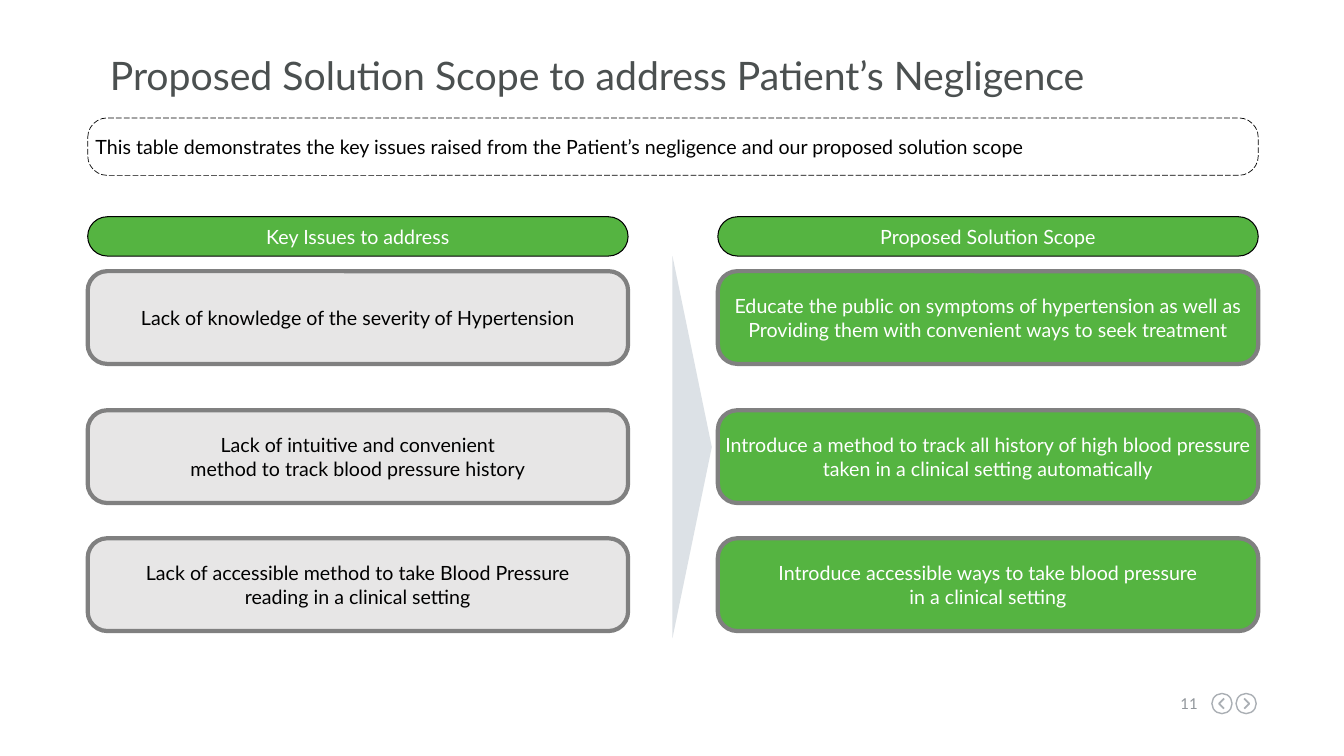
from dataclasses import dataclass

from pptx import Presentation
from pptx.dml.color import RGBColor
from pptx.enum.dml import MSO_LINE
from pptx.enum.shapes import MSO_SHAPE
from pptx.enum.text import MSO_ANCHOR, MSO_AUTO_SIZE, PP_ALIGN
from pptx.util import Inches, Pt

ROUNDED, TRIANGLE, OVAL = (
    MSO_SHAPE.ROUNDED_RECTANGLE, MSO_SHAPE.ISOSCELES_TRIANGLE, MSO_SHAPE.OVAL)
LEFT, CENTER, RIGHT = PP_ALIGN.LEFT, PP_ALIGN.CENTER, PP_ALIGN.RIGHT
MIDDLE, BOTTOM = MSO_ANCHOR.MIDDLE, MSO_ANCHOR.BOTTOM
DASHED = MSO_LINE.LONG_DASH


@dataclass(frozen=True)
class Theme:
    font: str = "Lato"
    title_size: float = 28
    body_size: float = 14
    number_size: float = 10.7
    title: str = "4B5050"
    number: str = "91969B"
    icon: str = "AAAFB4"
    black: str = "000000"
    white: str = "FFFFFF"
    green: str = "55B441"
    grey: str = "E7E6E6"
    border: str = "808080"
    arrow: str = "DCE1E6"


@dataclass(frozen=True)
class Grid:
    """Two columns over a header row and three card rows, in inches."""
    left: float = 0.87
    col_w: float = 5.36
    gutter: float = 0.89
    header_y: float = 2.15
    header_h: float = 0.39
    card_ys: tuple[float, ...] = (2.69, 4.07, 5.34)
    card_h: float = 0.92

    def x(self, col: int) -> float:
        return self.left + col * (self.col_w + self.gutter)

    @property
    def width(self) -> float:
        return self.x(1) + self.col_w - self.left


@dataclass(frozen=True)
class Box:
    x: float
    y: float
    w: float
    h: float


@dataclass(frozen=True)
class Style:
    fill: str
    line: str
    line_w: float
    color: str
    radius: float
    align: PP_ALIGN = CENTER


@dataclass(frozen=True)
class Card:
    lines: tuple[str, ...]
    inset: float = 0


@dataclass(frozen=True)
class Column:
    header: str
    style: Style
    cards: tuple[Card, ...]


THEME, GRID = Theme(), Grid()
HEADER = Style(THEME.green, THEME.black, 0.75, THEME.white, 0.5)
INTRO = Style(THEME.white, THEME.black, 0.5, THEME.black, 0.34, LEFT)
ISSUE = Style(THEME.grey, THEME.border, 3, THEME.black, 0.21)
SOLUTION = Style(THEME.green, THEME.border, 3, THEME.white, 0.21)

COLUMNS = (
    Column("Key Issues to address", ISSUE, (
        Card(("Lack of knowledge of the severity of Hypertension",)),
        Card(("Lack of intuitive and convenient method to track "
              "blood pressure history",), 0.91),
        Card(("Lack of accessible method to take Blood Pressure "
              "reading in a clinical setting",), 0.52),
    )),
    Column("Proposed Solution Scope", SOLUTION, (
        Card(("Educate the public on symptoms of hypertension as well as",
              "Providing them with convenient ways to seek treatment")),
        Card(("Introduce a method to track all history of high blood pressure "
              "taken in a clinical setting automatically",)),
        Card(("Introduce accessible ways to take blood pressure",
              "in a clinical setting")),
    )),
)


def emu(box: Box) -> tuple[int, ...]:
    return tuple(Inches(v) for v in (box.x, box.y, box.w, box.h))


def paint(sp, fill: str | None, line: str | None = None, width: float = 0) -> None:
    sp.shadow.inherit = False
    if fill:
        sp.fill.solid()
        sp.fill.fore_color.rgb = RGBColor.from_string(fill)
    else:
        sp.fill.background()
    if line:
        sp.line.color.rgb = RGBColor.from_string(line)
        sp.line.width = Pt(width)
    else:
        sp.line.fill.background()


def write(sp, lines: tuple[str, ...], size: float, color: str,
          align: PP_ALIGN, anchor: MSO_ANCHOR = MIDDLE, inset: float = 0) -> None:
    tf = sp.text_frame
    frame = {"word_wrap": True, "auto_size": MSO_AUTO_SIZE.NONE,
             "vertical_anchor": anchor, "margin_top": 0, "margin_bottom": 0,
             "margin_left": Inches(inset), "margin_right": Inches(inset)}
    for name, value in frame.items():
        setattr(tf, name, value)
    tf.text = "\n".join(lines)
    font = {"name": THEME.font, "size": Pt(size)}
    for p in tf.paragraphs:
        p.alignment = align
        for r in p.runs:
            for name, value in font.items():
                setattr(r.font, name, value)
            r.font.color.rgb = RGBColor.from_string(color)


def add_panel(slide, box: Box, lines: tuple[str, ...], style: Style,
              inset: float = 0):
    sp = slide.shapes.add_shape(ROUNDED, *emu(box))
    sp.adjustments[0] = style.radius
    paint(sp, style.fill, style.line, style.line_w)
    write(sp, lines, THEME.body_size, style.color, style.align, inset=inset)
    return sp


def add_nav_icon(slide, cx: float, cy: float, direction: int) -> None:
    """Ring with a chevron; direction is -1 for back and 1 for forward."""
    r = 0.1
    ring = slide.shapes.add_shape(OVAL, *emu(Box(cx - r, cy - r, 2 * r, 2 * r)))
    paint(ring, None, THEME.icon, 1)
    tip, tail = cx + direction * 0.03, cx - direction * 0.02
    fb = slide.shapes.build_freeform(Inches(tail), Inches(cy - 0.05))
    fb.add_line_segments([(Inches(tip), Inches(cy)),
                          (Inches(tail), Inches(cy + 0.05))], close=False)
    paint(fb.convert_to_shape(), None, THEME.icon, 1.25)


def main() -> None:
    prs = Presentation()
    prs.slide_width, prs.slide_height = Inches(13.33), Inches(7.5)
    slide = prs.slides.add_slide(prs.slide_layouts[5])

    # Title
    title = slide.shapes.title
    place = zip(("left", "top", "width", "height"), emu(Box(0.84, 0.3, 11.6, 0.68)))
    for name, value in place:
        setattr(title, name, value)
    write(title, ("Proposed Solution Scope to address Patient’s Negligence",),
          THEME.title_size, THEME.title, LEFT, BOTTOM)
    pPr = title.text_frame.paragraphs[0]._p.get_or_add_pPr()
    pPr.set("marL", str(Inches(0.5)))
    pPr.set("indent", str(Inches(-0.25)))

    # Introduction
    intro = add_panel(
        slide, Box(GRID.left, 1.17, GRID.width, 0.57),
        ("This table demonstrates the key issues raised from the Patient’s "
         "negligence and our proposed solution scope",), INTRO, 0.02)
    intro.line.dash_style = DASHED

    # Issue and solution columns
    for i, col in enumerate(COLUMNS):
        x = GRID.x(i)
        add_panel(slide, Box(x, GRID.header_y, GRID.col_w, GRID.header_h),
                  (col.header,), HEADER)
        for y, card in zip(GRID.card_ys, col.cards):
            add_panel(slide, Box(x, y, GRID.col_w, GRID.card_h),
                      card.lines, col.style, card.inset)

    # Arrow between the columns
    arrow = slide.shapes.add_shape(TRIANGLE, *emu(Box(4.97, 4.24, 3.79, 0.39)))
    arrow.rotation = 90
    paint(arrow, THEME.arrow)

    # Page number and navigation
    number = slide.shapes.add_textbox(*emu(Box(11.58, 6.89, 0.3, 0.18)))
    write(number, ("11",), THEME.number_size, THEME.number, RIGHT)
    for cx, direction in ((12.12, -1), (12.36, 1)):
        add_nav_icon(slide, cx, 6.98, direction)

    prs.save("out.pptx")


if __name__ == "__main__":
    main()
